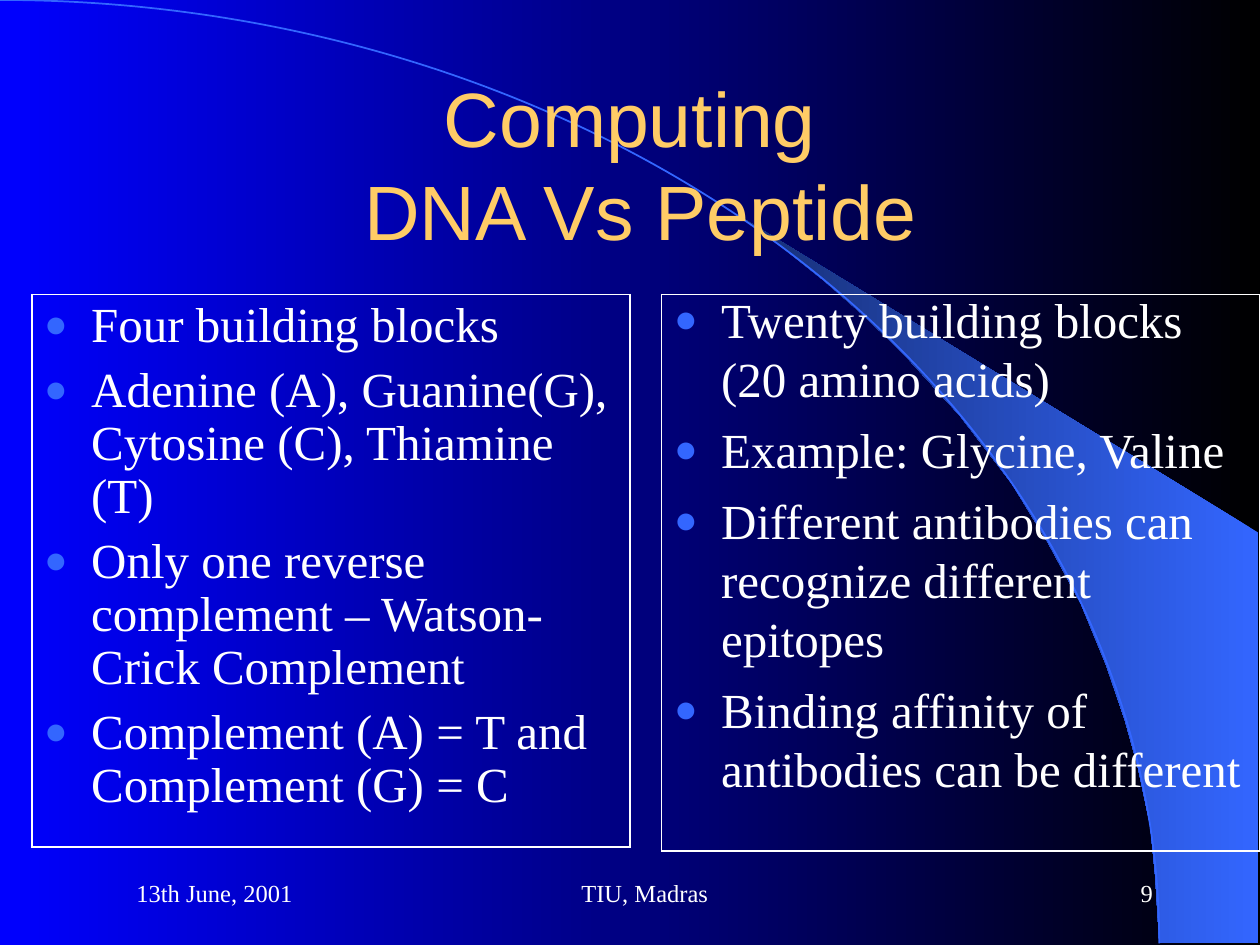
from lxml import etree
from pptx import Presentation
from pptx.dml.color import RGBColor
from pptx.enum import shapes, text
from pptx.oxml import ns
from pptx.util import Cm, Pt

BLACK = RGBColor(0x00, 0x00, 0x00)
BLUE = RGBColor(0x00, 0x00, 0xFF)
SKY = RGBColor(0x33, 0x66, 0xFF)
NAVY = RGBColor(0x17, 0x2F, 0x75)
GOLD = RGBColor(0xFF, 0xCC, 0x66)
WHITE = RGBColor(0xFF, 0xFF, 0xFF)
HEADING_FONT, BODY_FONT = "Arial", "Times New Roman"

TITLE = "Computing\v DNA Vs Peptide"
# Each column: left, text top, frame height, line spacing, left and top border widths, points
FRAME_TOP, COLUMN_WIDTH, COLUMN_HEIGHT = 5.93, 12.06, 11.64
COLUMNS = [
    (0.64, 5.93, 11.15, 0.9, 1.08, 0.45, [
        "Four building blocks",
        "Adenine (A), Guanine(G), Cytosine (C), Thiamine (T)",
        "Only one reverse complement – Watson-Crick Complement",
        "Complement (A) = T and Complement (G) = C",
    ]),
    (13.34, 5.72, 11.23, 1.0, 0.45, 0.45, [
        "Twenty building blocks (20 amino acids)",
        "Example: Glycine, Valine",
        "Different antibodies can recognize different epitopes",
        "Binding affinity of antibodies can be different",
    ]),
]
FOOTERS = [
    (1.9, 5.29, text.PP_ALIGN.LEFT, "13th June, 2001"),
    (8.68, 8.04, text.PP_ALIGN.CENTER, "TIU, Madras"),
    (18.2, 5.29, text.PP_ALIGN.RIGHT, "9"),
]
ARC_WIDTH, ARC_HEIGHT = 23.37, 19.02
BEAM = [
    (23.37, 19), (25.37, 19.02), (25.37, 10.74), (14.96, 4.39), (15.85, 5.05),
    (16.59, 5.64), (17.4, 6.35), (18.19, 7.11), (19.35, 8.38), (20.4, 9.75),
    (21.13, 10.95), (21.79, 12.17), (22.3, 13.41), (22.68, 14.53),
    (22.94, 15.47), (23.19, 16.66), (23.29, 17.68),
]


def set_gradient(fill, first, last):
    """Run a gradient from first at the right to last at the left."""
    fill.gradient()
    fill.gradient_angle = 180
    for stop, color, position in zip(fill.gradient_stops, (first, last), (0, 1)):
        stop.color.rgb = color
        stop.position = position


def add_child(parent, tag, **attributes):
    return etree.SubElement(parent, ns.qn(tag), attributes)


def format_runs(paragraph, size, color, font):
    for run in paragraph.runs:
        run.font.size = Pt(size)
        run.font.name = font
        run.font.color.rgb = color


def add_text(slide, left, top, width, height, lines, size):
    box = slide.shapes.add_textbox(Cm(left), Cm(top), Cm(width), Cm(height))
    frame = box.text_frame
    frame.word_wrap = True
    frame.text = "\n".join(lines)
    for paragraph in frame.paragraphs:
        format_runs(paragraph, size, WHITE, BODY_FONT)
    return frame


def add_bullet(paragraph):
    properties = paragraph._p.get_or_add_pPr()
    properties.set("marL", str(Cm(0.95)))
    properties.set("indent", str(-Cm(0.95)))
    add_child(add_child(properties, "a:buClr"), "a:srgbClr", val=str(SKY))
    add_child(properties, "a:buSzPct", val="80000")
    add_child(properties, "a:buFont", typeface=BODY_FONT)
    add_child(properties, "a:buChar", char="●")


def add_frame(slide, left, height, left_border, top_border):
    """Add a one-cell table that outlines a column."""
    table = slide.shapes.add_table(1, 1, Cm(left), Cm(FRAME_TOP),
                                   Cm(COLUMN_WIDTH), Cm(height)).table
    table.first_row = table.horz_banding = False
    cell = table.cell(0, 0)
    properties = cell._tc.get_or_add_tcPr()
    borders = {"L": left_border, "R": 1.08, "T": top_border, "B": 1.08}
    for side, width in borders.items():
        line = add_child(properties, f"a:ln{side}", w=str(Pt(width)))
        add_child(add_child(line, "a:solidFill"), "a:srgbClr", val=str(WHITE))
    cell.fill.background()


def add_backdrop(slide):
    set_gradient(slide.background.fill, BLACK, BLUE)
    points = [(Cm(x), Cm(y)) for x, y in BEAM]
    builder = slide.shapes.build_freeform(*points[0])
    builder.add_line_segments(points[1:], close=True)
    beam = builder.convert_to_shape()
    beam.shadow.inherit = False
    set_gradient(beam.fill, SKY, NAVY)
    beam.line.fill.background()
    arc = slide.shapes.add_shape(shapes.MSO_SHAPE.ARC, Cm(-ARC_WIDTH), 0,
                                 Cm(2 * ARC_WIDTH), Cm(2 * ARC_HEIGHT))
    arc.shadow.inherit = False
    arc.fill.background()
    arc.line.color.rgb = SKY
    arc.line.width = Pt(1)


def add_title(slide):
    title = slide.shapes.title
    title.left, title.top, title.width, title.height = Cm(1.9), Cm(1.7), Cm(21.6), Cm(3.18)
    frame = title.text_frame
    frame.text = TITLE
    frame.auto_size = text.MSO_AUTO_SIZE.NONE
    frame.vertical_anchor = text.MSO_ANCHOR.MIDDLE
    paragraph = frame.paragraphs[0]
    paragraph.alignment = text.PP_ALIGN.CENTER
    format_runs(paragraph, 44, GOLD, HEADING_FONT)
    # Keep the title in front of the backdrop
    slide.shapes._spTree.append(title._element)


def main():
    presentation = Presentation()
    presentation.slide_width, presentation.slide_height = Cm(25.4), Cm(19.05)
    slide = presentation.slides.add_slide(presentation.slide_layouts[5])
    add_backdrop(slide)
    add_title(slide)

    for left, top, height, spacing, left_border, top_border, lines in COLUMNS:
        frame = add_text(slide, left, top, COLUMN_WIDTH, COLUMN_HEIGHT, lines, 28)
        for paragraph in frame.paragraphs:
            paragraph.line_spacing = spacing
            paragraph.space_before = Pt(7)
            add_bullet(paragraph)
        add_frame(slide, left, height, left_border, top_border)

    for left, width, alignment, line in FOOTERS:
        frame = add_text(slide, left, 17.36, width, 1.27, [line], 14)
        frame.vertical_anchor = text.MSO_ANCHOR.MIDDLE
        paragraph = frame.paragraphs[0]
        paragraph.alignment = alignment
        paragraph._p.get_or_add_pPr().set("marL", str(Cm(0.6)))

    presentation.save("out.pptx")


if __name__ == "__main__":
    main()
